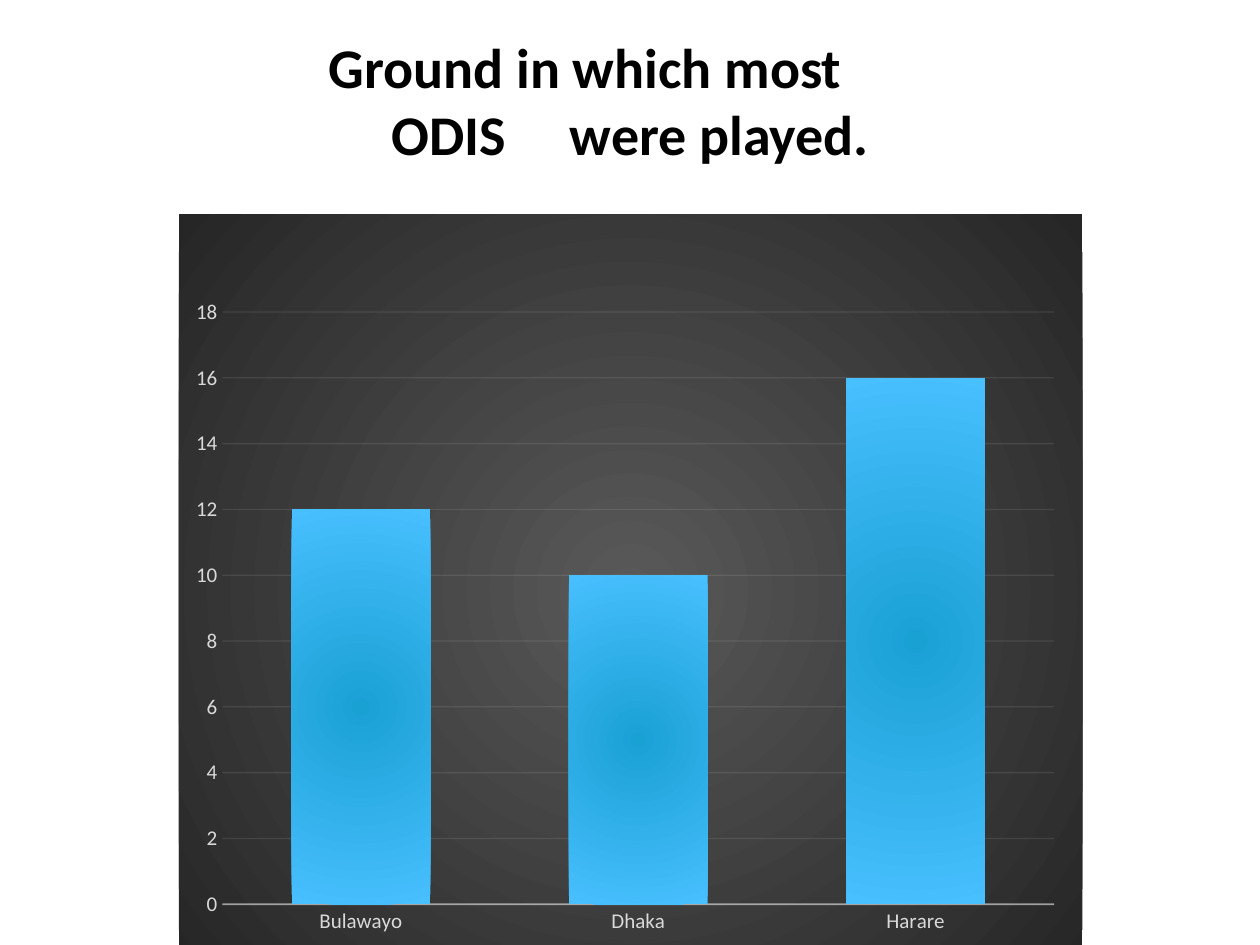
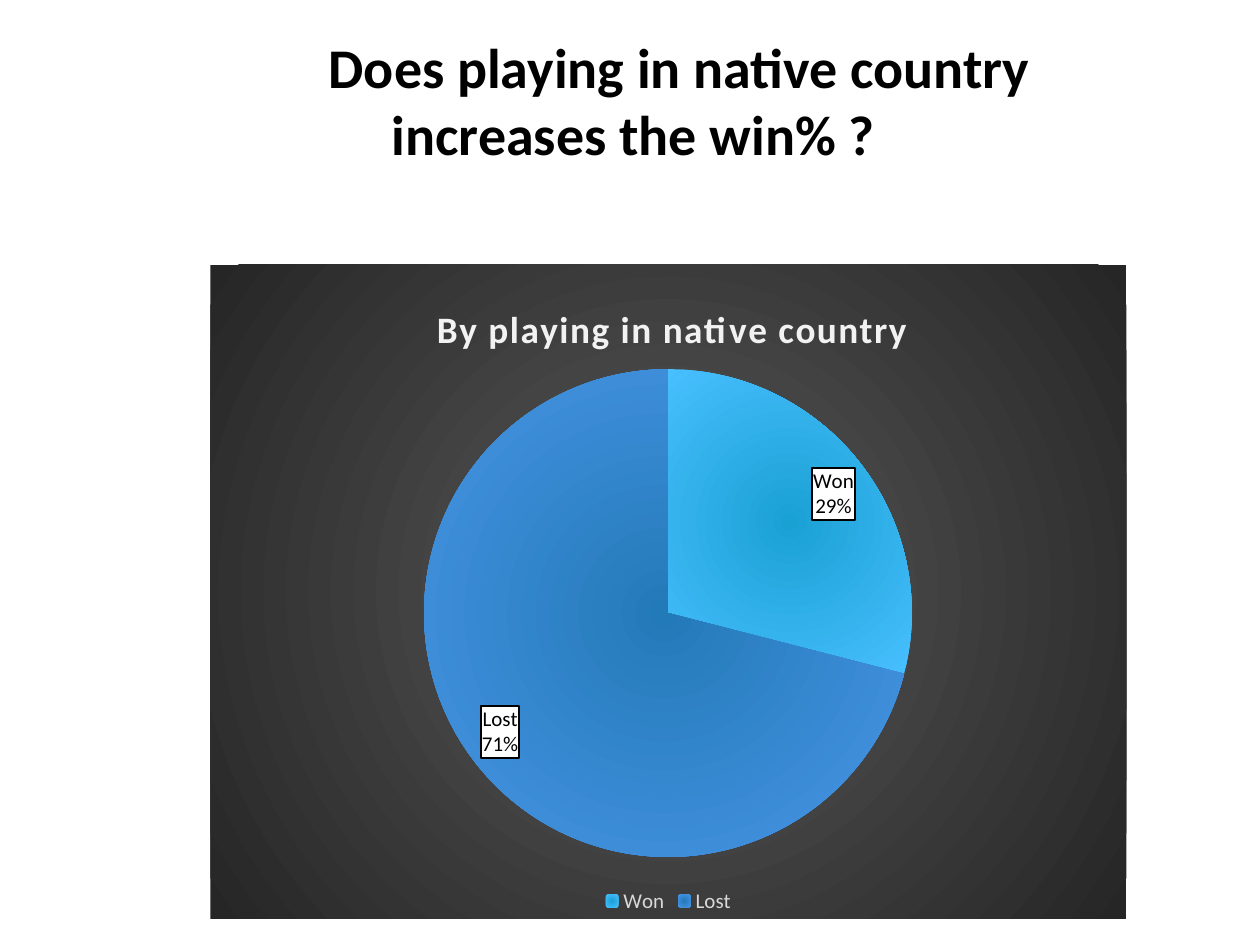
import pptx
import pptx.chart.data
import pptx.dml.color
import pptx.enum.chart
import pptx.oxml
import pptx.oxml.ns
import pptx.util
from dataclasses import dataclass

Inches = pptx.util.Inches
Pt = pptx.util.Pt
qn = pptx.oxml.ns.qn
NS = pptx.oxml.ns.nsdecls("a", "c")


@dataclass(frozen=True)
class Theme:
    font: str = "Calibri"
    ink: str = "000000"
    paper: str = "FFFFFF"
    pale: str = "F2F2F2"
    soft: str = "D9D9D9"
    dark: tuple = ("595959", "262626")
    sky: tuple = ("1AA1D4", "48BFFF")
    blue: tuple = ("237AB8", "4895E7")
    head: float = 32
    title: float = 21.3
    small: float = 12


THEME = Theme()


def rgb(color):
    return pptx.dml.color.RGBColor.from_string(color)


def style(font, size, color, bold=False):
    font.name = THEME.font
    font.size = Pt(size)
    font.bold = bold
    font.color.rgb = rgb(color)


def write(para, words, size, color, bold=False, gap=0):
    """Add a run; gap is the letter spacing in points."""
    run = para.add_run()
    run.text = words
    style(run.font, size, color, bold)
    if gap:
        run.font._element.set("spc", str(int(gap * 100)))


def parse_xml(markup):
    return pptx.oxml.parse_xml(markup)


def glow(colors, focus):
    """Round gradient from the inner to the outer color."""
    inner, outer = colors
    sides = " ".join(f'{side}="{focus * 1000}"' for side in "ltrb")
    return parse_xml(
        f'<a:gradFill {NS}><a:gsLst>'
        f'<a:gs pos="0"><a:srgbClr val="{inner}"/></a:gs>'
        f'<a:gs pos="100000"><a:srgbClr val="{outer}"/></a:gs></a:gsLst>'
        f'<a:path path="circle"><a:fillToRect {sides}/></a:path></a:gradFill>')


def paint(form, colors):
    form._element.get_or_add_spPr().insert(0, glow(colors, 100))


def rule(form, width, alpha):
    """Draw a pale line with the given opacity in percent."""
    form.line.width = Pt(width)
    form.line.color.rgb = rgb(THEME.pale)
    color = form._element.get_or_add_spPr().find(".//" + qn("a:srgbClr"))
    color.append(parse_xml(f'<a:alpha {NS} val="{alpha * 1000}"/>'))


def place(part, index, target="", **spots):
    """Set a manual layout, in fractions of the chart."""
    for old in part.findall(qn("c:layout")):
        part.remove(old)
    inner = f'<c:layoutTarget val="{target}"/>' if target else ""
    inner += '<c:xMode val="edge"/><c:yMode val="edge"/>'
    inner += "".join(f'<c:{key} val="{val}"/>' for key, val in spots.items())
    part.insert(index, parse_xml(
        f'<c:layout {NS}><c:manualLayout>{inner}</c:manualLayout></c:layout>'))


def heading(slide, box, parts):
    """Add the hanging title; parts are (words, letter spacing) pairs."""
    frame = slide.shapes.add_textbox(*map(Inches, box)).text_frame
    frame.word_wrap = True
    para = frame.paragraphs[0]
    props = para._p.get_or_add_pPr()
    props.set("marL", str(Inches(0.5)))
    props.set("indent", str(Inches(-0.5)))
    for words, gap in parts:
        write(para, words, THEME.head, THEME.ink, bold=True, gap=gap)


def graph(slide, box, kind, name, values, spots):
    """Add a chart on the dark panel and return it."""
    data = pptx.chart.data.CategoryChartData()
    data.categories = list(values)
    data.add_series(name, list(values.values()))
    chart = slide.shapes.add_chart(kind, *map(Inches, box), data).chart
    style(chart.font, 10, THEME.ink)
    chart.has_title = chart.has_legend = False
    space = chart._chartSpace
    panel = parse_xml(f'<c:spPr {NS}><a:ln><a:noFill/></a:ln></c:spPr>')
    panel.insert(0, glow(THEME.dark, 50))
    space.find(qn("c:chart")).addnext(panel)
    place(space.find(".//" + qn("c:plotArea")), 0, "inner", **spots)
    return chart


def columns(slide, box, values):
    chart = graph(slide, box, pptx.enum.chart.XL_CHART_TYPE.COLUMN_CLUSTERED,
                  "Series 1", values, dict(x=0.048, y=0.13, w=0.921, h=0.786))
    plot = chart.plots[0]
    plot.gap_width, plot.overlap = 100, -24
    plot.vary_by_categories = False
    paint(plot.series[0].format, THEME.sky)
    base, scale = chart.category_axis, chart.value_axis
    for axis in (base, scale):
        axis.major_tick_mark = pptx.enum.chart.XL_TICK_MARK.NONE
        style(axis.tick_labels.font, THEME.small, THEME.soft)
    rule(base.format, 1, 54)
    scale.format.line.fill.background()
    scale.minimum_scale, scale.maximum_scale, scale.major_unit = 0, 18, 2
    scale.has_major_gridlines = True
    rule(scale.major_gridlines.format, 0.75, 10)


def tags(plot):
    """Label each slice with its name and share in a white box."""
    plot.has_data_labels = True
    labels = plot.data_labels
    labels.show_value = False
    labels.show_category_name = labels.show_percentage = True
    labels.position = pptx.enum.chart.XL_LABEL_POSITION.INSIDE_END
    style(labels.font, THEME.small, THEME.ink)
    root = labels._element
    root.find(qn("c:txPr")).addprevious(parse_xml(
        f'<c:spPr {NS}><a:solidFill><a:srgbClr val="{THEME.paper}"/></a:solidFill>'
        f'<a:ln w="{Pt(1)}"><a:solidFill><a:srgbClr val="{THEME.ink}"/>'
        '</a:solidFill></a:ln></c:spPr>'))
    shows = [node for node in root if node.tag.startswith(qn("c:show"))
             and node.tag != qn("c:showLeaderLines")]
    shows[-1].addnext(parse_xml(f'<c:separator {NS}>\n</c:separator>'))


def pie(slide, box, name, values):
    chart = graph(slide, box, pptx.enum.chart.XL_CHART_TYPE.PIE, name, values,
                  dict(x=0.233, y=0.16, w=0.533, h=0.746))
    chart.has_title = True
    title = chart.chart_title
    write(title.text_frame.paragraphs[0], name, THEME.title, THEME.pale,
          bold=True, gap=1)
    title.include_in_layout = False
    place(title._element, 1, x=0.24, y=0.05)
    chart.has_legend = True
    chart.legend.position = pptx.enum.chart.XL_LEGEND_POSITION.BOTTOM
    chart.legend.include_in_layout = False
    style(chart.legend.font, THEME.small, THEME.soft)
    plot = chart.plots[0]
    plot.vary_by_categories = True
    for index, colors in enumerate((THEME.sky, THEME.blue)):
        paint(plot.series[0].points[index].format, colors)
    tags(plot)


def main():
    deck = pptx.Presentation()
    deck.slide_width, deck.slide_height = Inches(10), Inches(7.5)
    blank = deck.slide_layouts[6]

    grounds = deck.slides.add_slide(blank)
    heading(grounds, (2.51, 0.21, 5, 1.72),
            [("Ground in which most ODIS", 0), (" ", 29), ("were played.", 0)])
    columns(grounds, (1.42, 1.7, 7.17, 5.98),
            {"Bulawayo": 12, "Dhaka": 10, "Harare": 16})

    native = deck.slides.add_slide(blank)
    heading(native, (2.51, 0.21, 6.9, 1.18),
            [("Does playing in native country increases the win% ?", 0)])
    pie(native, (1.67, 2.1, 7.27, 5.19), "By playing in native country",
        {"Won": 29, "Lost": 71})

    deck.save("out.pptx")


if __name__ == "__main__":
    main()
